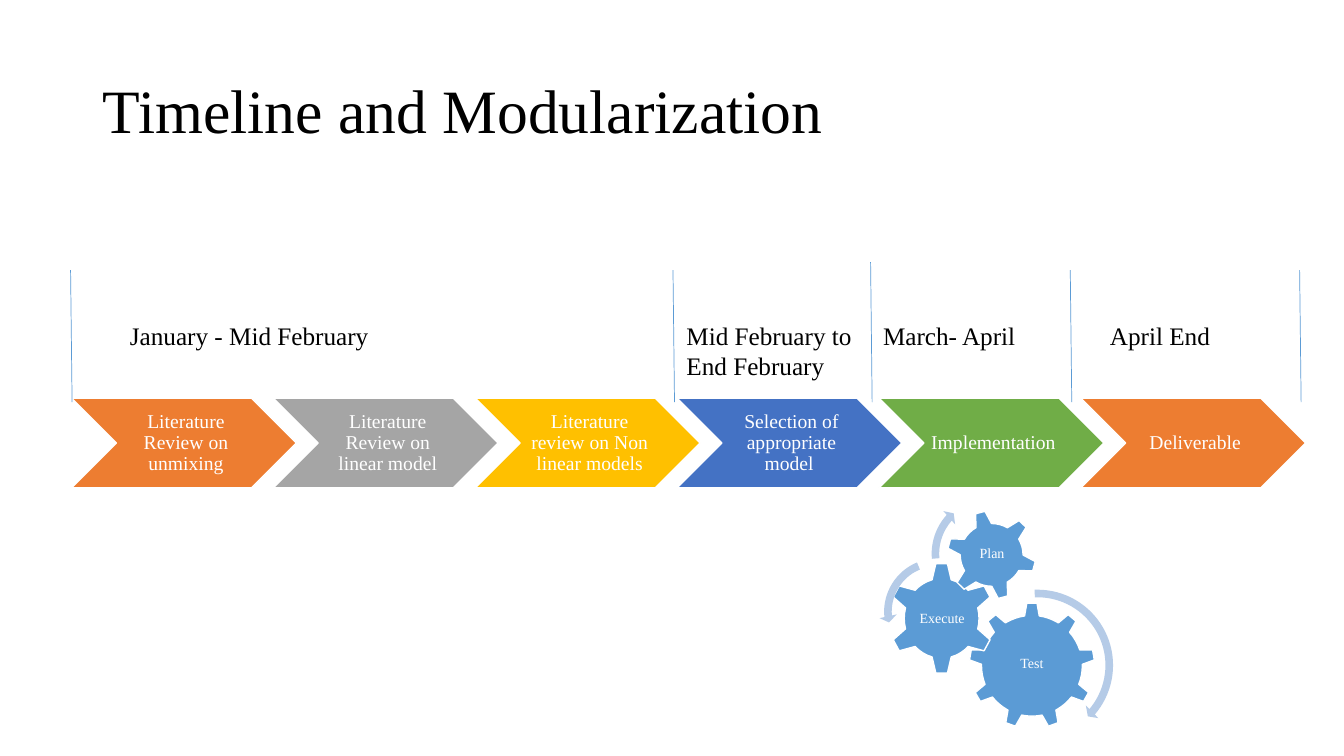
from dataclasses import dataclass

from lxml import etree
from pptx import Presentation
from pptx.dml.color import RGBColor
from pptx.enum.shapes import MSO_CONNECTOR, MSO_SHAPE
from pptx.enum.text import MSO_ANCHOR, MSO_AUTO_SIZE, PP_ALIGN
from pptx.oxml.ns import qn
from pptx.util import Inches, Pt

CHEVRON, GEAR_6, GEAR_9 = MSO_SHAPE.CHEVRON, MSO_SHAPE.GEAR_6, MSO_SHAPE.GEAR_9
ARC_RIGHT, ARC_LEFT = MSO_SHAPE.CIRCULAR_ARROW, MSO_SHAPE.LEFT_CIRCULAR_ARROW
STRAIGHT = MSO_CONNECTOR.STRAIGHT
LEFT, CENTER = PP_ALIGN.LEFT, PP_ALIGN.CENTER
TOP, MIDDLE = MSO_ANCHOR.TOP, MSO_ANCHOR.MIDDLE
NO_FIT, GROW = MSO_AUTO_SIZE.NONE, MSO_AUTO_SIZE.SHAPE_TO_FIT_TEXT

FONT = "Times New Roman"
BLACK, WHITE, BLUE, PALE_BLUE = "000000", "FFFFFF", "5B9BD5", "B5CBE7"
ORANGE, GRAY, GOLD, NAVY, GREEN = "ED7D31", "A5A5A5", "FFC000", "4472C4", "70AD47"

# The page grid has ten cells to the inch; all places count cells
CELLS_PER_INCH = 10
FIRST_STEP, STEP_PITCH, STEP_ROW = 7.1, 20.02, 39.5
STEP_WIDTH, STEP_HEIGHT = 22.3, 8.9
LABEL_ROW, MARKER_FOOT, MARKER_LEAN = 31.3, 39.9, 0.15

Box = tuple[float, float, float, float]


@dataclass
class Step:
    text: str
    color: str


@dataclass
class Gear:
    text: str
    kind: int
    box: Box
    text_box: Box
    rotation: float = 0


@dataclass
class Arc:
    kind: int
    box: Box
    adjustments: tuple[float, ...]


@dataclass
class Marker:
    column: float
    top: float = 26.8


@dataclass
class Period:
    text: str
    column: float
    width: float
    height: float = 4


STEPS = [
    Step("Literature Review on unmixing", ORANGE),
    Step("Literature Review on linear model", GRAY),
    Step("Literature review on Non linear models", GOLD),
    Step("Selection of appropriate model ", NAVY),
    Step("Implementation", GREEN),
    Step("Deliverable", ORANGE),
]
GEARS = [
    Gear("Test", GEAR_9, (96.1, 59.8, 12.5, 12.5), (98.6, 62.7, 7.5, 6.4)),
    Gear("Execute", GEAR_6, (88.1, 55.8, 10.6, 11.1), (90.8, 58.6, 5.3, 5.6)),
    Gear("Plan", GEAR_6, (93.9, 50.6, 8.9, 8.9), (95.9, 52.5, 5, 5), 345),
]
ARCS = [
    Arc(ARC_RIGHT, (94.9, 58, 16, 16), (0.047, 2.99, 24.271, 160.686, 0.055)),
    Arc(ARC_LEFT, (87.2, 54.9, 11.6, 11.6), (0.065, 4.3, 104.891, 148.378, 0.075)),
    Arc(ARC_RIGHT, (91.9, 48.7, 12.5, 12.5), (0.06, 3.941, 133.138, 105.082, 0.07)),
]
MARKERS = [Marker(7), Marker(66.75), Marker(86.35, 26), Marker(106.15), Marker(128.9)]
PERIODS = [
    Period("January - Mid February", 11.9, 46),
    Period("Mid February to End February", 67.1, 19.2, 7.1),
    Period("March- April", 86.6, 18.9),
    Period("April End", 109.1, 19.2),
]


def cells(count: float) -> int:
    return Inches(count / CELLS_PER_INCH)


def rgb(color: str) -> RGBColor:
    return RGBColor.from_string(color)


def write(frame, text: str, size: float, color: str, align=LEFT, anchor=TOP,
          spacing: float = 1, fit=NO_FIT) -> None:
    frame.word_wrap = True
    frame.auto_size = fit
    frame.vertical_anchor = anchor
    para = frame.paragraphs[0]
    para.alignment = align
    para.line_spacing = spacing
    span = para.add_run()
    span.text = text
    span.font.name = FONT
    span.font.size = Pt(size)
    span.font.color.rgb = rgb(color)


def add_figure(shapes, kind: int, box: Box, fill: str, outline: str | None = WHITE):
    figure = shapes.add_shape(kind, *map(cells, box))
    figure.shadow.inherit = False
    figure.fill.solid()
    figure.fill.fore_color.rgb = rgb(fill)
    if outline:
        figure.line.color.rgb = rgb(outline)
        figure.line.width = Pt(1)
    else:
        figure.line.fill.background()
    return figure


def add_caption(shapes, text: str, box: Box, size: float, left_inset: float,
                inset: float) -> None:
    frame = shapes.add_textbox(*map(cells, box)).text_frame
    frame.margin_left = cells(left_inset)
    frame.margin_top = frame.margin_right = frame.margin_bottom = cells(inset)
    write(frame, text, size, WHITE, CENTER, MIDDLE, 0.9)


def add_step(shapes, index: int, step: Step) -> None:
    left = FIRST_STEP + index * STEP_PITCH
    add_figure(shapes, CHEVRON, (left, STEP_ROW, STEP_WIDTH, STEP_HEIGHT), step.color)
    notch = STEP_HEIGHT / 2
    text_box = (left + notch, STEP_ROW, STEP_WIDTH - 2 * notch, STEP_HEIGHT)
    add_caption(shapes, step.text, text_box, 14, 0.6, 0.2)


def add_gear(shapes, gear: Gear) -> None:
    add_figure(shapes, gear.kind, gear.box, BLUE).rotation = gear.rotation
    add_caption(shapes, gear.text, gear.text_box, 10, 0.1, 0.1)


def add_arc(shapes, arc: Arc) -> None:
    figure = add_figure(shapes, arc.kind, arc.box, PALE_BLUE, None)
    for index, value in enumerate(arc.adjustments):
        figure.adjustments[index] = value


def add_marker(shapes, marker: Marker) -> None:
    ends = (marker.column + MARKER_LEAN, MARKER_FOOT, marker.column, marker.top)
    line = shapes.add_connector(STRAIGHT, *map(cells, ends))
    line.line.color.rgb = rgb(BLUE)
    line.line.width = Pt(0.5)
    etree.SubElement(line._element.spPr, qn("a:effectLst"))


def add_period(shapes, period: Period) -> None:
    box = (period.column, LABEL_ROW, period.width, period.height)
    frame = shapes.add_textbox(*map(cells, box)).text_frame
    write(frame, period.text, 18, BLACK, fit=GROW)


def main() -> None:
    deck = Presentation()
    deck.slide_width, deck.slide_height = Inches(13.33), Inches(7.5)
    page = deck.slides.add_slide(deck.slide_layouts[5])

    # Title
    title = page.shapes.title
    title.left, title.top, title.width, title.height = map(cells, (9.2, 4, 115, 14.5))
    write(title.text_frame, "Timeline and Modularization", 44, BLACK,
          anchor=MIDDLE, spacing=0.9)

    # Row of project steps
    timeline = page.shapes.add_group_shape().shapes
    for index, step in enumerate(STEPS):
        add_step(timeline, index, step)

    # Implementation cycle
    cycle = page.shapes.add_group_shape().shapes
    for gear in GEARS:
        add_gear(cycle, gear)
    for arc in ARCS:
        add_arc(cycle, arc)

    # Period markers and labels
    for marker in MARKERS:
        add_marker(page.shapes, marker)
    for period in PERIODS:
        add_period(page.shapes, period)

    deck.save("out.pptx")


if __name__ == "__main__":
    main()
